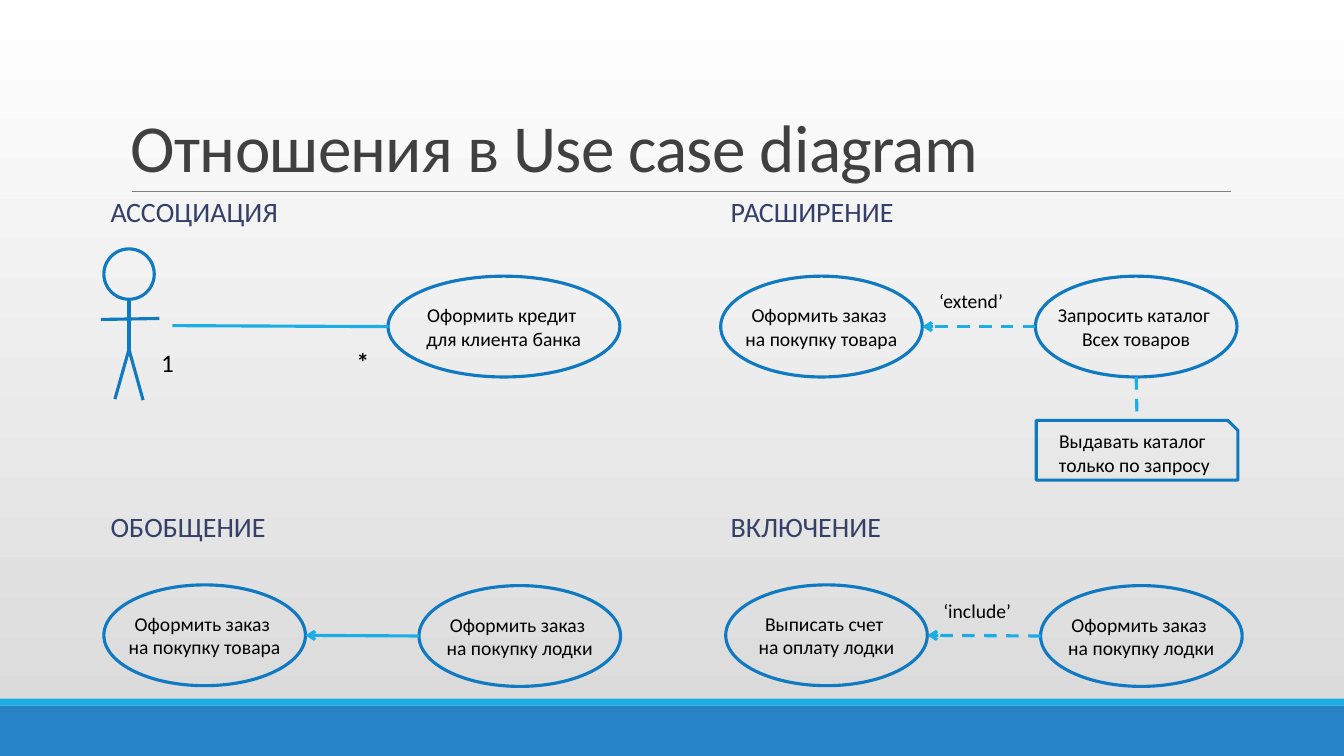
from lxml.etree import SubElement
from pptx import Presentation
from pptx.dml.color import RGBColor
from pptx.enum.dml import MSO_LINE
from pptx.enum.shapes import MSO_CONNECTOR, MSO_SHAPE
from pptx.enum.text import MSO_ANCHOR, PP_ALIGN
from pptx.oxml.ns import qn
from pptx.util import Pt

OUTLINE, LINK = "0F79C1", "1CADE4"


def color(hex_string):
    return RGBColor.from_string(hex_string)


def write(shape, text, size, ink="000000", wrap=False, anchor=MSO_ANCHOR.MIDDLE, align=PP_ALIGN.LEFT):
    frame = shape.text_frame
    frame.text = text
    frame.word_wrap = wrap
    frame.vertical_anchor = anchor
    for paragraph in frame.paragraphs:
        paragraph.alignment = align
        for run in paragraph.runs:
            run.font.name = "Calibri"
            run.font.size = Pt(size)
            run.font.color.rgb = color(ink)
    return frame.paragraphs[0]


deck = Presentation()
deck.slide_width, deck.slide_height = Pt(960), Pt(540)
slide = deck.slides.add_slide(deck.slide_layouts[6])
shapes = slide.shapes

backdrop = slide.background.fill
backdrop.gradient()
backdrop.gradient_angle = 270
for stop, shade in zip(backdrop.gradient_stops, ("FFFFFF", "D9D9D9")):
    stop.color.rgb = color(shade)

for top, height, shade in ((504, 36, "2683C6"), (499, 5, LINK)):
    band = shapes.add_shape(MSO_SHAPE.RECTANGLE, 0, Pt(top), Pt(960), Pt(height))
    band.shadow.inherit = False
    band.fill.solid()
    band.fill.fore_color.rgb = color(shade)
    band.line.fill.background()

title = shapes.add_textbox(Pt(86.4), Pt(22.5), Pt(792), Pt(114.3))
title_line = write(title, "Отношения в Use case diagram", 48, "404040", True, MSO_ANCHOR.BOTTOM)
title_line.line_spacing = 0.85
title_line.runs[0].font._element.set("spc", "-50")

for left, top, relation in (
    (72, 134.6, "АССОЦИАЦИЯ"),
    (514.8, 134.6, "РАСШИРЕНИЕ"),
    (72, 360, "ОБОБЩЕНИЕ"),
    (514.8, 360, "ВКЛЮЧЕНИЕ"),
):
    heading = shapes.add_textbox(Pt(left), Pt(top), Pt(402), Pt(35.3))
    heading_line = write(heading, relation, 20, "344068", True)
    heading_line.line_spacing = 0.9
    heading_line.space_before, heading_line.space_after = Pt(12), Pt(2)

outlined = []
for kind, left, top, width, height, text in (
    (MSO_SHAPE.OVAL, 277.2, 197.3, 165.6, 72, "Оформить кредит \nдля клиента банка"),
    (MSO_SHAPE.OVAL, 514.8, 197.3, 144, 72, "Оформить заказ \nна покупку товара"),
    (MSO_SHAPE.OVAL, 739.6, 197.3, 144, 72, "Запросить каталог \nВсех товаров"),
    (MSO_SHAPE.OVAL, 74.2, 417.8, 144, 72, "Оформить заказ \nна покупку товара"),
    (MSO_SHAPE.OVAL, 299.3, 418.3, 144, 72, "Оформить заказ \nна покупку лодки"),
    (MSO_SHAPE.OVAL, 518.4, 417.8, 144, 72, "Выписать счет \nна оплату лодки"),
    (MSO_SHAPE.OVAL, 743.3, 418.3, 144, 72, "Оформить заказ \nна покупку лодки"),
    (MSO_SHAPE.OVAL, 74.2, 177.8, 36, 36, ""),
    (MSO_SHAPE.SNIP_1_RECTANGLE, 740.2, 300.3, 144, 42.7, "Выдавать каталог \nтолько по запросу"),
):
    node = shapes.add_shape(kind, Pt(left), Pt(top), Pt(width), Pt(height))
    node.shadow.inherit = False
    node.fill.background()
    node.line.color.rgb = color(OUTLINE)
    node.line.width = Pt(2.25)
    if text:
        write(node, text, 14, align=PP_ALIGN.CENTER)
    outlined.append(node)
note = outlined[-1]

connectors = []
for x1, y1, x2, y2, shade, width, dashed, arrow in (
    (94.3, 136.8, 879.1, 136.8, "808080", 0.5, False, False),
    (92.2, 213.8, 92.2, 252.7, OUTLINE, 2.25, False, False),
    (72, 228.2, 113.8, 227.5, OUTLINE, 2.25, False, False),
    (92.2, 249.4, 82.1, 285.1, OUTLINE, 2.25, False, False),
    (92.2, 249.8, 102.2, 285.8, OUTLINE, 2.25, False, False),
    (277.2, 233.3, 123.1, 232.6, LINK, 2.25, False, False),
    (299.3, 454.3, 218.2, 453.8, LINK, 2.25, False, True),
    (739.6, 233.3, 658.8, 233.3, LINK, 2.25, True, True),
    (743.3, 454.3, 662.4, 453.8, LINK, 2.25, True, True),
    (811.6, 269.3, 812.2, 300.3, LINK, 2.25, True, False),
):
    link = shapes.add_connector(MSO_CONNECTOR.STRAIGHT, Pt(x1), Pt(y1), Pt(x2), Pt(y2))
    link.line.color.rgb = color(shade)
    link.line.width = Pt(width)
    if dashed:
        link.line.dash_style = MSO_LINE.DASH
    properties = link._element.spPr
    if arrow:
        SubElement(properties.find(qn("a:ln")), qn("a:tailEnd"), type="arrow")
    SubElement(properties, qn("a:effectLst"))
    connectors.append(link)
connectors[-1].end_connect(note, 0)

for left, top, width, height, text, size, bold in (
    (108, 244.8, 25.9, 29, "1", 18, False),
    (247.7, 244.1, 23, 29, "*", 18, True),
    (663.8, 203, 70.6, 24.5, "‘extend’", 14, False),
    (666.7, 424.1, 72.7, 24.5, "‘include’", 14, False),
):
    label = shapes.add_textbox(Pt(left), Pt(top), Pt(width), Pt(height))
    write(label, text, size, anchor=MSO_ANCHOR.TOP).runs[0].font.bold = bold

deck.save("out.pptx")
